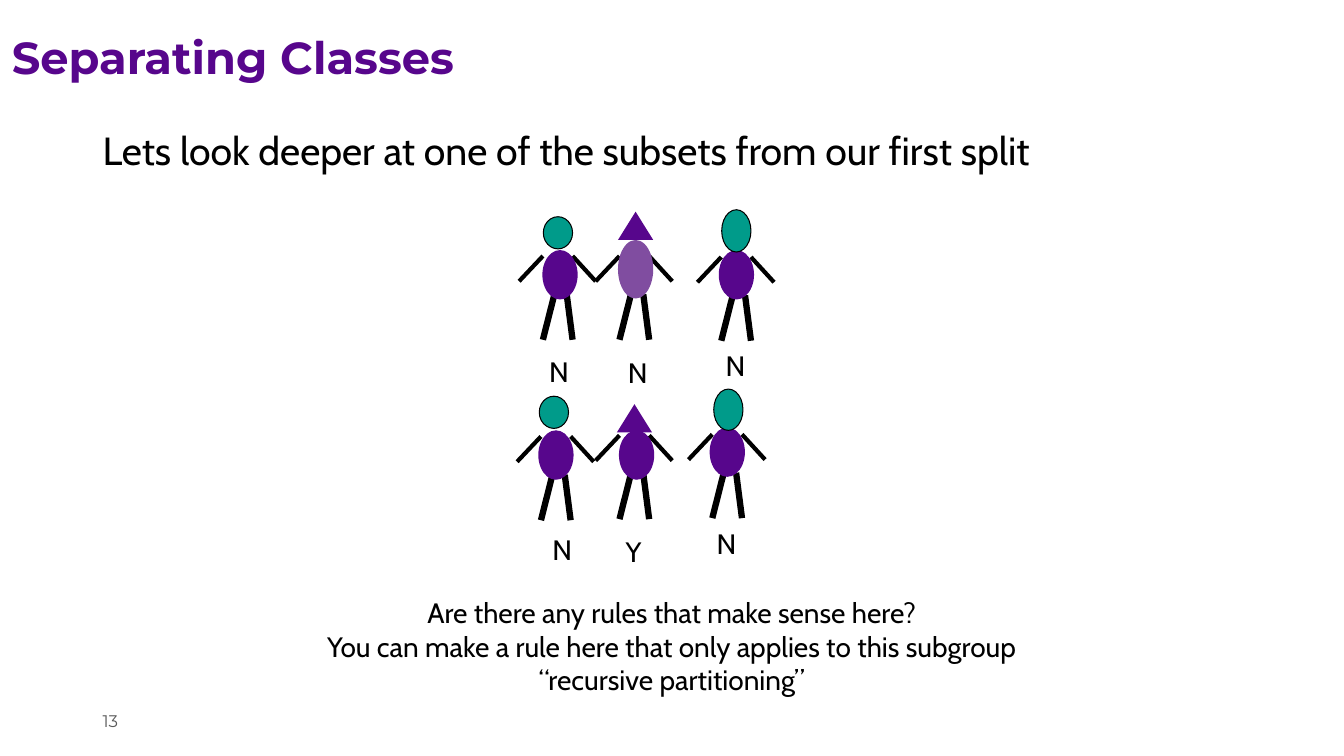
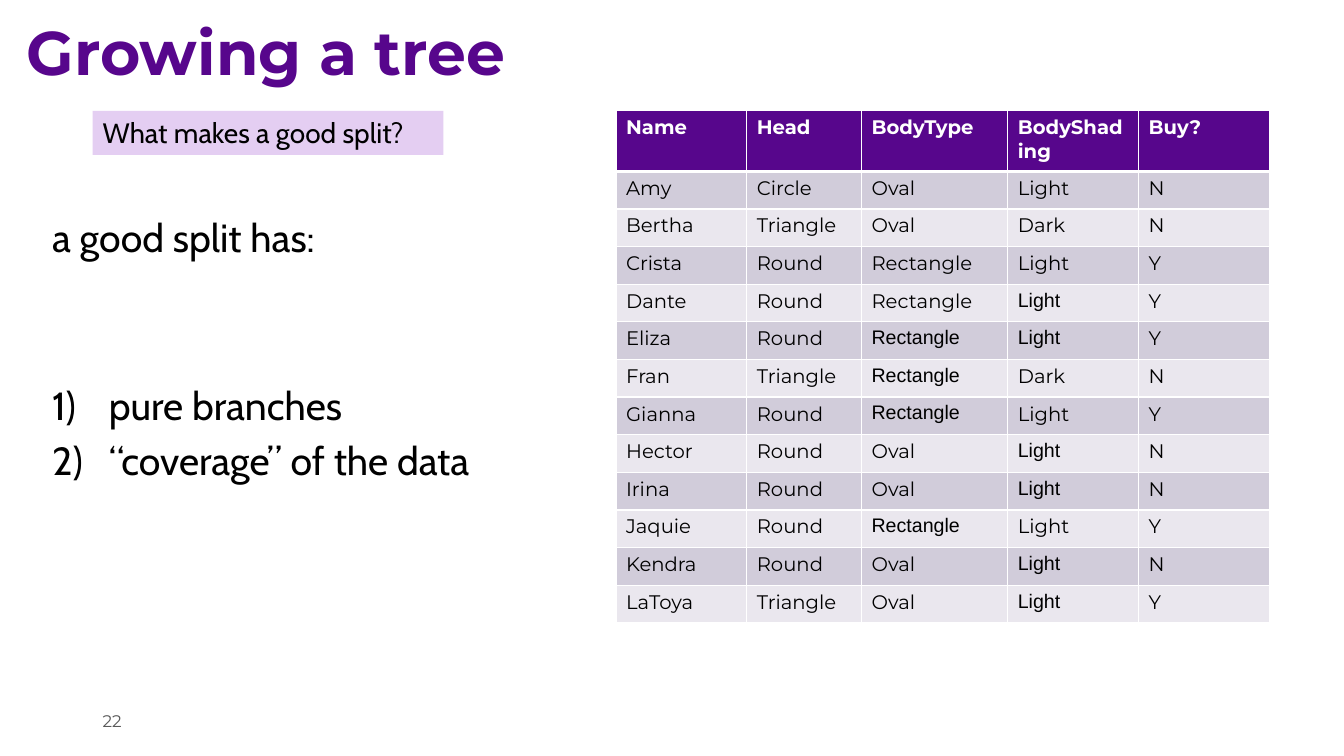
from dataclasses import dataclass
from typing import NamedTuple

from lxml import etree
from pptx import Presentation
from pptx.dml.color import RGBColor
from pptx.enum.shapes import MSO_CONNECTOR, MSO_SHAPE
from pptx.enum.text import MSO_ANCHOR, PP_ALIGN
from pptx.oxml.ns import qn
from pptx.util import Pt

OVAL, TRIANGLE, RECT = MSO_SHAPE.OVAL, MSO_SHAPE.ISOSCELES_TRIANGLE, MSO_SHAPE.RECTANGLE
STRAIGHT = MSO_CONNECTOR.STRAIGHT
TOP, MIDDLE = MSO_ANCHOR.TOP, MSO_ANCHOR.MIDDLE
LEFT, CENTER = PP_ALIGN.LEFT, PP_ALIGN.CENTER


@dataclass(frozen=True)
class Theme:
    purple: str = "57068C"
    violet: str = "804DA0"
    lilac: str = "E4CEF2"
    teal: str = "009B8A"
    black: str = "000000"
    white: str = "FFFFFF"
    grey: str = "595959"
    bands: tuple = ("D1CCDA", "EAE7EE")
    title_font: str = "Montserrat"
    body_font: str = "Cabin"
    plain_font: str = "Arial"
    body_size: float = 28
    note_size: float = 20
    table_size: float = 14
    page_size: float = 12


T = Theme()


class Box(NamedTuple):
    x: float
    y: float
    w: float
    h: float


class Style(NamedTuple):
    size: float
    font: str = T.body_font
    color: str = T.black
    bold: bool = False


class Para(NamedTuple):
    text: str
    before: float = 0
    numbered: bool = False


class Figure(NamedTuple):
    hand: tuple  # left hand, from which the limbs are measured
    body: Box
    body_color: str
    head: Box
    head_shape: int
    label: str
    label_at: tuple


class Shopper(NamedTuple):
    name: str
    head: str
    body: str
    shading: str
    buy: str
    plain: tuple = ()  # columns set in the plain font


# Limbs: start, end, line width
LIMBS = [
    ((0, 0), (17, -18), 3),
    ((54.7, 0), (38.2, -18), 3),
    ((17, 41.8), (25.2, 9.4), 4.5),
    ((38.2, 41.8), (34, 9.4), 4.5),
]

FIGURES = [
    Figure((370.8, 200.9), Box(387.4, 178.6, 25.2, 35.3), T.purple,
           Box(388.1, 154.8, 20.9, 23), OVAL, "N", (385.2, 249.8)),
    Figure((425.5, 200.9), Box(441.4, 171.4, 25.2, 41.8), T.violet,
           Box(441.4, 151.2, 25.2, 20.2), TRIANGLE, "N", (441.4, 250.6)),
    Figure((498.2, 201.6), Box(513.4, 178.6, 25.2, 35.3), T.purple,
           Box(515.5, 149.8, 20.9, 30.2), OVAL, "N", (511.2, 245.5)),
    Figure((369.4, 329.8), Box(384.5, 307.4, 25.2, 35.3), T.purple,
           Box(385.2, 283, 20.9, 23), OVAL, "N", (387.4, 376.6)),
    Figure((425.5, 329), Box(442.1, 307.4, 25.2, 35.3), T.purple,
           Box(440.6, 288.7, 25.2, 20.2), TRIANGLE, "Y", (439.9, 378)),
    Figure((491.8, 328.3), Box(506.9, 305.3, 25.2, 35.3), T.purple,
           Box(509.8, 277.9, 20.9, 29.5), OVAL, "N", (504.7, 372.2)),
]

HEADER = ("Name", "Head", "BodyType", "BodyShading", "Buy?")
COLUMNS = (93.4, 82, 104.5, 93.4, 93.4)
HEADER_H, ROW_H = 43.2, 26.88
BODY, SHADING = 2, 3
SHOPPERS = [
    Shopper("Amy", "Circle", "Oval", "Light", "N"),
    Shopper("Bertha", "Triangle", "Oval", "Dark", "N"),
    Shopper("Crista", "Round", "Rectangle", "Light", "Y"),
    Shopper("Dante", "Round", "Rectangle", "Light", "Y", (SHADING,)),
    Shopper("Eliza", "Round", "Rectangle", "Light", "Y", (BODY, SHADING)),
    Shopper("Fran", "Triangle", "Rectangle", "Dark", "N", (BODY,)),
    Shopper("Gianna", "Round", "Rectangle", "Light", "Y", (BODY,)),
    Shopper("Hector", "Round", "Oval", "Light", "N", (SHADING,)),
    Shopper("Irina", "Round", "Oval", "Light", "N", (SHADING,)),
    Shopper("Jaquie", "Round", "Rectangle", "Light", "Y", (BODY,)),
    Shopper("Kendra", "Round", "Oval", "Light", "N", (SHADING,)),
    Shopper("LaToya", "Triangle", "Oval", "Light", "Y", (SHADING,)),
]


def rgb(color: str) -> RGBColor:
    return RGBColor.from_string(color)


def pts(*values: float) -> list:
    return [Pt(v) for v in values]


# Text
def add_run(p, text: str, style: Style) -> None:
    r = p.add_run()
    r.text = text
    r.font.size, r.font.name, r.font.bold = Pt(style.size), style.font, style.bold
    r.font.color.rgb = rgb(style.color)


def number(p) -> None:
    pPr = p._p.get_or_add_pPr()
    pPr.set("marL", str(Pt(40.5)))
    pPr.set("indent", str(Pt(-40.5)))
    etree.SubElement(pPr, qn("a:buFont"), typeface="+mj-lt")
    etree.SubElement(pPr, qn("a:buAutoNum"), type="arabicParenR")


def write(tf, paras: list, style: Style, align=LEFT, anchor=TOP,
          wrap: bool = True, spacing: float = 1) -> None:
    tf.word_wrap, tf.vertical_anchor = wrap, anchor
    for i, para in enumerate(paras):
        p = tf.add_paragraph() if i else tf.paragraphs[0]
        if para.numbered:
            number(p)
        p.alignment, p.line_spacing = align, spacing
        p.space_before = Pt(para.before)
        add_run(p, para.text, style)


def add_text(s, box: Box, paras: list, style: Style, **layout) -> None:
    write(s.shapes.add_textbox(*pts(*box)).text_frame, paras, style, **layout)


# Shapes
def add_shape(s, kind: int, box: Box, fill: str, outlined: bool = False):
    sp = s.shapes.add_shape(kind, *pts(*box))
    sp.shadow.inherit = False
    sp.fill.solid()
    sp.fill.fore_color.rgb = rgb(fill)
    if outlined:
        sp.line.color.rgb, sp.line.width = rgb(T.black), Pt(0.75)
    else:
        sp.line.fill.background()
    return sp


def add_line(s, start: tuple, end: tuple, width: float) -> None:
    ln = s.shapes.add_connector(STRAIGHT, *pts(*start, *end))
    ln.line.color.rgb, ln.line.width = rgb(T.black), Pt(width)
    etree.SubElement(ln._element.spPr, qn("a:effectLst"))


def add_figure(s, f: Figure) -> None:
    x, y = f.hand
    for (x1, y1), (x2, y2), width in LIMBS:
        add_line(s, (x + x1, y + y1), (x + x2, y + y2), width)
    add_shape(s, OVAL, f.body, f.body_color)
    is_oval = f.head_shape == OVAL
    add_shape(s, f.head_shape, f.head, T.teal if is_oval else T.purple, is_oval)
    width = 28.1 if f.label == "N" else 23.8
    add_text(s, Box(*f.label_at, width, 31.5), [Para(f.label)],
             Style(T.note_size), wrap=False)


# Table
def set_borders(cell, top: float, bottom: float) -> None:
    tcPr = cell._tc.get_or_add_tcPr()
    sides = (("L", 1), ("R", 1), ("T", top), ("B", bottom))
    for i, (side, width) in enumerate(sides):
        ln = etree.Element(qn(f"a:ln{side}"), w=str(Pt(width)))
        fill = etree.SubElement(ln, qn("a:solidFill"))
        etree.SubElement(fill, qn("a:srgbClr"), val=T.white)
        tcPr.insert(i, ln)


def fill_cell(cell, text: str, fill: str, style: Style, top: float, bottom: float) -> None:
    cell.fill.solid()
    cell.fill.fore_color.rgb = rgb(fill)
    set_borders(cell, top, bottom)
    add_run(cell.text_frame.paragraphs[0], text, style)


def add_shopper_table(s, x: float, y: float) -> None:
    height = HEADER_H + ROW_H * len(SHOPPERS)
    tbl = s.shapes.add_table(len(SHOPPERS) + 1, len(COLUMNS),
                             *pts(x, y, sum(COLUMNS), height)).table
    for col, width in zip(tbl.columns, COLUMNS):
        col.width = Pt(width)
    for i, row in enumerate(tbl.rows):
        row.height = Pt(ROW_H if i else HEADER_H)
    for c, text in enumerate(HEADER):
        style = Style(T.table_size, T.title_font, T.white, True)
        fill_cell(tbl.cell(0, c), text, T.purple, style, 1, 3)
    for i, shopper in enumerate(SHOPPERS):
        for c, text in enumerate(shopper[:len(HEADER)]):
            font = T.plain_font if c in shopper.plain else T.title_font
            fill_cell(tbl.cell(i + 1, c), text, T.bands[i % 2],
                      Style(T.table_size, font), 1 if i else 3, 1)


# Slides
def new_slide(prs, title: str, x: float, y: float, size: float, page: str):
    s = prs.slides.add_slide(prs.slide_layouts[6])
    add_text(s, Box(x, y, 828, 79.2), [Para(title)],
             Style(size, T.title_font, T.purple, True), anchor=MIDDLE, spacing=0.9)
    add_text(s, Box(66.2, 500.4, 106.6, 28.8), [Para(page)],
             Style(T.page_size, T.title_font, T.grey), anchor=MIDDLE)
    return s


def separating_classes(prs) -> None:
    s = new_slide(prs, "Separating Classes", 1.4, 3.6, 32, "13")
    add_text(s, Box(66.2, 86.4, 828, 50),
             [Para("Lets look deeper at one of the subsets from our first split")],
             Style(T.body_size))
    for f in FIGURES:
        add_figure(s, f)
    add_text(s, Box(206.6, 421.9, 546.5, 90), [
        Para("Are there any rules that make sense here?"),
        Para("You can make a rule here that only applies to this subgroup"),
        Para("“recursive partitioning”"),
    ], Style(T.note_size), align=CENTER)


def growing_a_tree(prs) -> None:
    s = new_slide(prs, "Growing a tree", 12.2, 0, 44, "22")
    add_text(s, Box(30.2, 149, 388, 234), [
        Para("a good split has:"),
        Para("pure branches", 86, True),
        Para("“coverage” of the data", 6, True),
    ], Style(T.body_size))
    sp = add_shape(s, RECT, Box(66.2, 79.2, 250.6, 31.5), T.lilac)
    write(sp.text_frame, [Para("What makes a good split?")], Style(T.note_size))
    add_shopper_table(s, 440, 79.2)


def main() -> None:
    prs = Presentation()
    prs.slide_width, prs.slide_height = Pt(960), Pt(540)
    separating_classes(prs)
    growing_a_tree(prs)
    prs.save("out.pptx")


if __name__ == "__main__":
    main()
